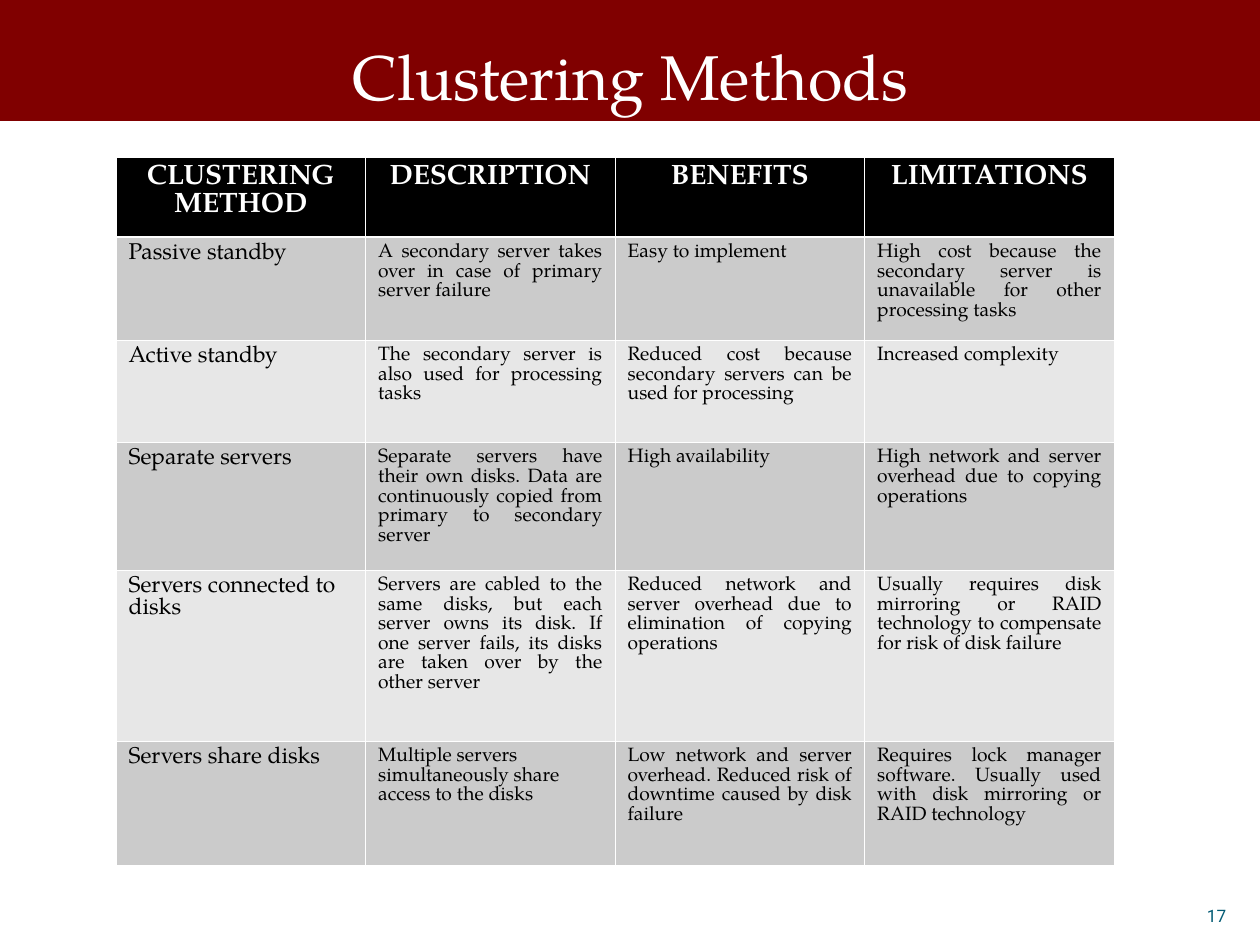
from dataclasses import dataclass

from lxml import etree
from pptx import Presentation
from pptx.dml.color import RGBColor
from pptx.enum.shapes import MSO_SHAPE
from pptx.enum.text import MSO_ANCHOR, PP_ALIGN
from pptx.oxml.ns import qn
from pptx.util import Cm, Length, Pt

RECTANGLE = MSO_SHAPE.RECTANGLE
TOP, MIDDLE = MSO_ANCHOR.TOP, MSO_ANCHOR.MIDDLE
LEFT, CENTER, RIGHT, JUSTIFY = (
    PP_ALIGN.LEFT, PP_ALIGN.CENTER, PP_ALIGN.RIGHT, PP_ALIGN.JUSTIFY)

MAROON = RGBColor(0x80, 0x00, 0x00)
WHITE = RGBColor(0xFF, 0xFF, 0xFF)
BLACK = RGBColor(0x00, 0x00, 0x00)
DARK_BAND = RGBColor(0xCB, 0xCB, 0xCB)
LIGHT_BAND = RGBColor(0xE7, 0xE7, 0xE7)
TEAL = RGBColor(0x04, 0x5C, 0x75)

SERIF = "TeX Gyre Pagella"
SANS = "Roboto"
THIN, THICK = Pt(0.45), Pt(1.47)
COLUMN_WIDTH = Cm(5.03)
HEADINGS = ("CLUSTERING METHOD", "DESCRIPTION", "BENEFITS", "LIMITATIONS")
HEADING_HEIGHT = Cm(1.6)


@dataclass(frozen=True)
class Method:
    height: Length
    texts: tuple[str, str, str, str]
    left_columns: tuple[int, ...] = (0,)


METHODS = (
    Method(Cm(2.08), (
        "Passive standby",
        "A secondary server takes over in case of primary server failure",
        "Easy to implement",
        "High cost because the secondary server is unavailable for other "
        "processing tasks"), ()),
    Method(Cm(2.06), (
        "Active standby",
        "The secondary server is also used for processing tasks",
        "Reduced cost because secondary servers can be used for processing",
        "Increased complexity")),
    Method(Cm(2.57), (
        "Separate servers",
        "Separate servers have their own disks. Data are continuously copied "
        "from primary to secondary server",
        "High availability",
        "High network and server overhead due to copying operations")),
    Method(Cm(3.45), (
        "Servers connected to disks",
        "Servers are cabled to the same disks, but each server owns its disk. "
        "If one server fails, its disks are taken over by the other server",
        "Reduced network and server overhead due to elimination of copying "
        "operations",
        "Usually requires disk mirroring or RAID technology to compensate for "
        "risk of disk failure")),
    Method(Cm(2.51), (
        "Servers share disks",
        "Multiple servers simultaneously share access to the disks",
        "Low network and server overhead. Reduced risk of downtime caused by "
        "disk failure",
        "Requires lock manager software. Usually used with disk mirroring or "
        "RAID technology"), (0, 1)),
)


def write_text(frame, text: str, *, size: float, color: RGBColor,
               align: PP_ALIGN, spacing: float | Length, font: str = SERIF,
               bold: bool = False) -> None:
    frame.word_wrap = True
    para = frame.paragraphs[0]
    para.alignment = align
    para.line_spacing = spacing
    span = para.add_run()
    span.text = text
    span.font.name = font
    span.font.size = Pt(size)
    span.font.bold = bold
    span.font.color.rgb = color


def add_label(page, left: Length, top: Length, width: Length, height: Length,
              anchor: MSO_ANCHOR):
    frame = page.shapes.add_textbox(left, top, width, height).text_frame
    frame.vertical_anchor = anchor
    return frame


def add_band(page, width: Length) -> None:
    band = page.shapes.add_shape(RECTANGLE, 0, 0, width, Cm(2.41))
    band.shadow.inherit = False
    band.fill.solid()
    band.fill.fore_color.rgb = MAROON
    band.line.color.rgb = MAROON
    band.line.width = Pt(2)


def style_cell(cell, fill: RGBColor, top: Length, bottom: Length) -> None:
    properties = cell._tc.get_or_add_tcPr()
    borders = {"a:lnL": THIN, "a:lnR": THIN, "a:lnT": top, "a:lnB": bottom}
    for tag, width in borders.items():
        line = etree.SubElement(properties, qn(tag), w=str(int(width)))
        solid = etree.SubElement(line, qn("a:solidFill"))
        etree.SubElement(solid, qn("a:srgbClr"), val=str(WHITE))
    cell.fill.solid()
    cell.fill.fore_color.rgb = fill


def add_methods_table(page) -> None:
    heights = [HEADING_HEIGHT] + [method.height for method in METHODS]
    table = page.shapes.add_table(
        len(heights), len(HEADINGS), Cm(2.34), Cm(3.18),
        COLUMN_WIDTH * len(HEADINGS), sum(heights)).table
    table.horz_banding = False
    for column in table.columns:
        column.width = COLUMN_WIDTH
    for row, height in zip(table.rows, heights):
        row.height = height

    for column, heading in enumerate(HEADINGS):
        cell = table.cell(0, column)
        style_cell(cell, BLACK, THIN, THICK)
        write_text(cell.text_frame, heading, size=16, color=WHITE,
                   align=CENTER, spacing=Pt(16), bold=True)

    for row, method in enumerate(METHODS, start=1):
        fill = DARK_BAND if row % 2 else LIGHT_BAND
        for column, text in enumerate(method.texts):
            cell = table.cell(row, column)
            style_cell(cell, fill, THICK if row == 1 else THIN, THIN)
            size = 11 if column else 13
            align = LEFT if column in method.left_columns else JUSTIFY
            write_text(cell.text_frame, text, size=size, color=BLACK,
                       align=align, spacing=Pt(11.2 if column else 12.8))


def main() -> None:
    deck = Presentation()
    deck.slide_width, deck.slide_height = Cm(25.4), Cm(19.05)
    page = deck.slides.add_slide(deck.slide_layouts[6])

    add_band(page, deck.slide_width)
    title = add_label(page, Cm(1.7), Cm(0.38), Cm(22.01), Cm(2.06), MIDDLE)
    title.margin_top, title.margin_bottom = Cm(0.46), 0
    write_text(title, "Clustering Methods", size=36, color=WHITE,
               align=CENTER, spacing=Pt(36))
    add_methods_table(page)
    number = add_label(page, Cm(19.38), Cm(18.21), Cm(5.59), Cm(0.76), TOP)
    write_text(number, "17", size=9.8, color=TEAL, align=RIGHT, spacing=0.8,
               font=SANS)
    deck.save("out.pptx")


if __name__ == "__main__":
    main()
